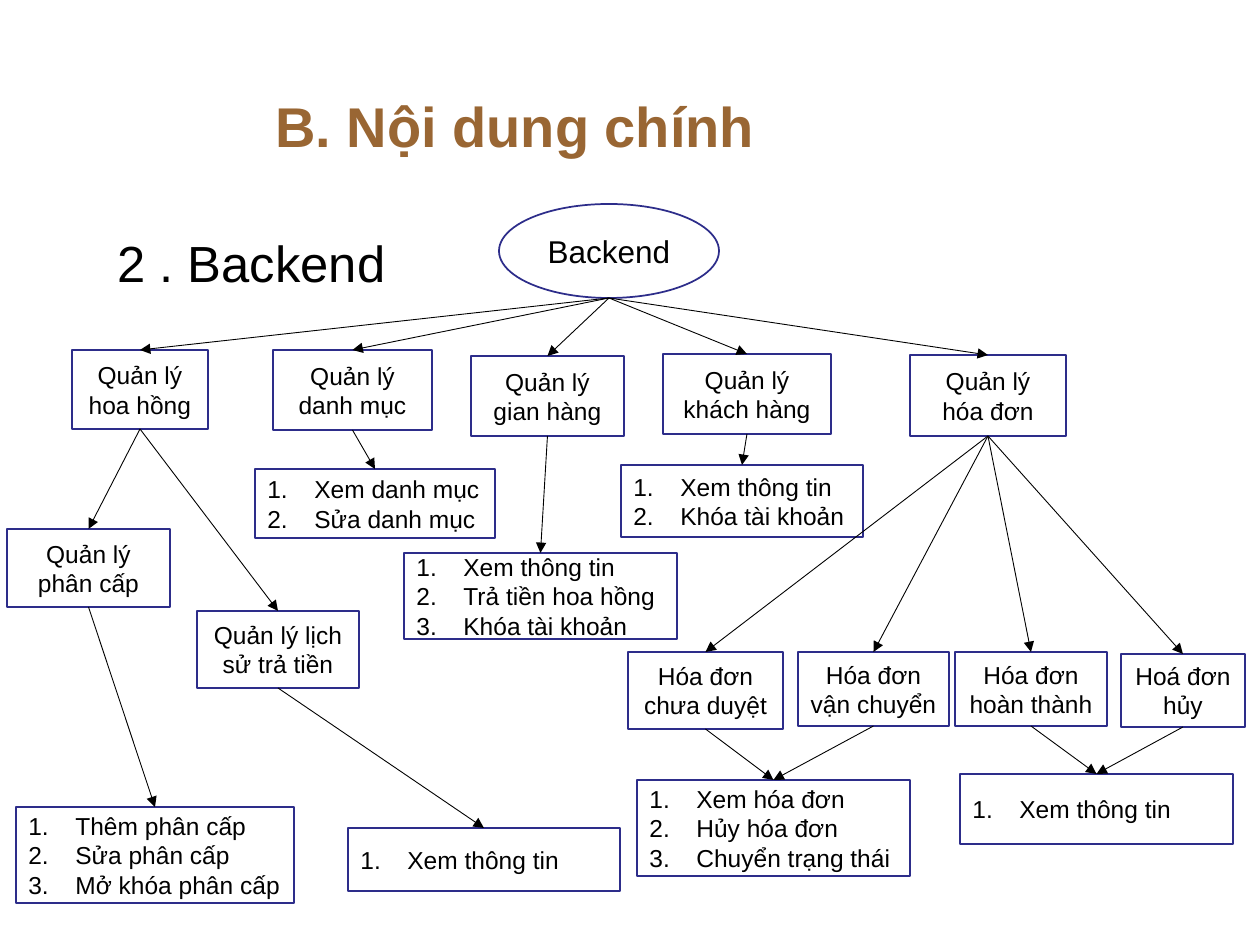
from dataclasses import dataclass

import pptx
import pptx.dml.color
import pptx.enum.shapes
import pptx.enum.text
import pptx.oxml.ns
import pptx.util
from lxml import etree

EMU_PER_PX = 914400 / 126
FONT = "Arial"
LIST_INDENT = 47
COLORS = {"title": "996633", "text": "000000", "fill": "FFFFFF", "border": "2D2D8A"}
SHAPES = pptx.enum.shapes.MSO_SHAPE
ALIGN = pptx.enum.text.PP_ALIGN
ANCHOR = pptx.enum.text.MSO_ANCHOR
TOP_SITE, BOTTOM_SITE = 0, 2


@dataclass(frozen=True)
class Node:
    key: str
    left: int
    top: int
    width: int
    height: int
    lines: tuple[str, ...]
    numbered: bool = False
    size: int = 14
    shape: int = SHAPES.RECTANGLE


NODES = [
    Node("backend", 499, 204, 220, 94, ("Backend",), size=18, shape=SHAPES.OVAL),
    Node("customers", 663, 354, 168, 80, ("Quản lý khách hàng",)),
    Node("categories", 273, 350, 159, 80, ("Quản lý danh mục",)),
    Node("invoices", 910, 355, 156, 81, ("Quản lý hóa đơn",)),
    Node("commission", 72, 350, 136, 79, ("Quản lý hoa hồng",)),
    Node("stalls", 471, 356, 153, 80, ("Quản lý gian hàng",)),
    Node("customer tasks", 621, 465, 242, 72, ("Xem thông tin", "Khóa tài khoản"), True),
    Node("stall tasks", 404, 553, 273, 86,
         ("Xem thông tin", "Trả tiền hoa hồng", "Khóa tài khoản"), True),
    Node("levels", 7, 529, 163, 78, ("Quản lý phân cấp",)),
    Node("payments", 197, 611, 162, 77, ("Quản lý lịch sử trả tiền",)),
    Node("pending", 628, 652, 155, 77, ("Hóa đơn chưa duyệt",)),
    Node("shipping", 798, 652, 151, 74, ("Hóa đơn vận chuyển",)),
    Node("completed", 955, 652, 152, 74, ("Hóa đơn hoàn thành",)),
    Node("cancelled", 1121, 654, 124, 73, ("Hoá đơn hủy",)),
    Node("category tasks", 255, 469, 240, 69, ("Xem danh mục", "Sửa danh mục"), True),
    Node("level tasks", 16, 807, 278, 96,
         ("Thêm phân cấp", "Sửa phân cấp", "Mở khóa phân cấp"), True),
    Node("payment tasks", 348, 828, 272, 63, ("Xem thông tin",), True),
    Node("open invoice tasks", 637, 780, 273, 96,
         ("Xem hóa đơn", "Hủy hóa đơn", "Chuyển trạng thái"), True),
    Node("closed invoice tasks", 960, 774, 273, 70, ("Xem thông tin",), True),
]

CHILDREN = {
    "backend": ("commission", "categories", "stalls", "customers", "invoices"),
    "commission": ("levels", "payments"),
    "invoices": ("pending", "shipping", "completed", "cancelled"),
    "pending": ("open invoice tasks",),
    "shipping": ("open invoice tasks",),
    "customers": ("customer tasks",),
    "stalls": ("stall tasks",),
    "categories": ("category tasks",),
    "levels": ("level tasks",),
    "payments": ("payment tasks",),
    "completed": ("closed invoice tasks",),
    "cancelled": ("closed invoice tasks",),
}


def px(length: float) -> int:
    return round(length * EMU_PER_PX)


def rgb(name: str):
    return pptx.dml.color.RGBColor.from_string(COLORS[name])


def add_span(para, text: str, size: float, color: str = "text", bold: bool = False) -> None:
    span = para.add_run()
    span.text = text
    span.font.name = FONT
    span.font.size = pptx.util.Pt(size)
    span.font.bold = bold
    span.font.color.rgb = rgb(color)


def number_paragraph(para) -> None:
    properties = para._p.get_or_add_pPr()
    properties.set("marL", str(px(LIST_INDENT)))
    properties.set("indent", str(-px(LIST_INDENT)))
    bullet = etree.SubElement(properties, pptx.oxml.ns.qn("a:buAutoNum"))
    bullet.set("type", "arabicPeriod")


def add_heading(page, left: int, top: int, width: int, height: int):
    box = page.shapes.add_textbox(px(left), px(top), px(width), px(height))
    box.text_frame.word_wrap = True
    return box.text_frame


def add_node(page, node: Node):
    box = page.shapes.add_shape(
        node.shape, px(node.left), px(node.top), px(node.width), px(node.height))
    box.shadow.inherit = False
    box.fill.solid()
    box.fill.fore_color.rgb = rgb("fill")
    box.line.color.rgb = rgb("border")
    box.line.width = pptx.util.Pt(1)
    frame = box.text_frame
    frame.word_wrap = True
    frame.vertical_anchor = ANCHOR.MIDDLE
    for index, line in enumerate(node.lines):
        para = frame.add_paragraph() if index else frame.paragraphs[0]
        para.alignment = ALIGN.LEFT if node.numbered else ALIGN.CENTER
        if node.numbered:
            number_paragraph(para)
        add_span(para, line, node.size)
    return box


def add_arrow(page, parent, child) -> None:
    arrow = page.shapes.add_connector(
        pptx.enum.shapes.MSO_CONNECTOR.STRAIGHT,
        parent.left + parent.width // 2, parent.top + parent.height,
        child.left + child.width // 2, child.top)
    if parent.auto_shape_type == SHAPES.RECTANGLE:
        arrow.begin_connect(parent, BOTTOM_SITE)
    arrow.end_connect(child, TOP_SITE)
    arrow.line.color.rgb = rgb("text")
    arrow.line.width = pptx.util.Pt(0.5)
    head = etree.SubElement(arrow.line._get_or_add_ln(), pptx.oxml.ns.qn("a:tailEnd"))
    head.set("type", "triangle")
    etree.SubElement(arrow._element.spPr, pptx.oxml.ns.qn("a:effectLst"))


def main() -> None:
    deck = pptx.Presentation()
    deck.slide_width, deck.slide_height = px(1260), px(945)
    page = deck.slides.add_slide(deck.slide_layouts[6])

    title = add_heading(page, 263, 60, 976, 130)
    title.vertical_anchor = ANCHOR.MIDDLE
    add_span(title.paragraphs[0], "B. Nội dung chính", 32, "title", bold=True)

    subtitle = add_heading(page, 105, 226, 1113, 89)
    subtitle.paragraphs[0].space_before = pptx.util.Pt(3.6)
    add_span(subtitle.paragraphs[0], "2 . Backend", 29)

    boxes = {node.key: add_node(page, node) for node in NODES}
    for parent, children in CHILDREN.items():
        for child in children:
            add_arrow(page, boxes[parent], boxes[child])

    deck.save("out.pptx")


if __name__ == "__main__":
    main()
